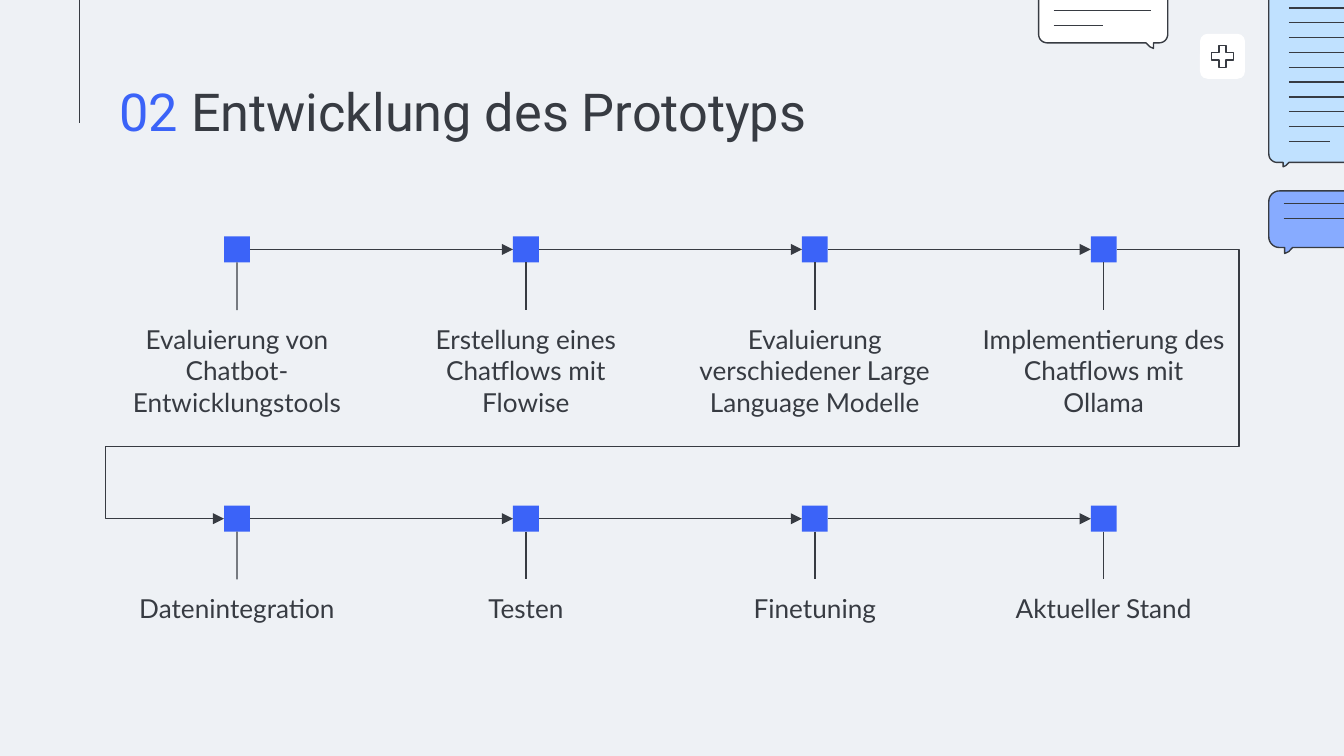
from itertools import pairwise
from math import cos, pi, sin

from lxml.etree import SubElement
from pptx import Presentation
from pptx.dml.color import RGBColor
from pptx.enum.shapes import MSO_CONNECTOR, MSO_SHAPE
from pptx.enum.text import MSO_ANCHOR, PP_ALIGN
from pptx.oxml.ns import qn
from pptx.util import Cm, Pt

PAPER = RGBColor(0xEE, 0xF1, 0xF5)
INK = RGBColor(0x37, 0x3B, 0x42)
ACCENT = RGBColor(0x3B, 0x63, 0xF8)
WHITE = RGBColor(0xFF, 0xFF, 0xFF)
SKY = RGBColor(0xC0, 0xE1, 0xFF)
PERIWINKLE = RGBColor(0x87, 0xAB, 0xFF)

MARKER = 0.49
LABEL_W = 5.08
LABEL_H = 2.24
STEPS = [
    ["Evaluierung von Chatbot-Entwicklungstools",
     "Erstellung eines Chatflows mit Flowise",
     "Evaluierung verschiedener Large Language Modelle",
     "Implementierung des Chatflows mit Ollama"],
    ["Datenintegration", "Testen", "Finetuning", "Aktueller Stand"],
]


def style_shape(sp, fill, line=None):
    sp.shadow.inherit = False
    sp.fill.solid()
    sp.fill.fore_color.rgb = fill
    if line is None:
        sp.line.fill.background()
    else:
        sp.line.color.rgb = line
        sp.line.width = Pt(0.75)


def add_line(s, x1, y1, x2, y2, arrow=False, kind=MSO_CONNECTOR.STRAIGHT):
    line = s.shapes.add_connector(kind, Cm(x1), Cm(y1), Cm(x2), Cm(y2))
    line.line.color.rgb = INK
    line.line.width = Pt(0.75)
    if arrow:
        SubElement(line.line._get_or_add_ln(), qn("a:tailEnd"), type="triangle")
    SubElement(line._element.spPr, qn("a:effectLst"))
    return line


def join(s, start, start_side, end, end_side, **options):
    line = add_line(s, 0, 0, 0, 0, **options)
    line.begin_connect(start, start_side)
    line.end_connect(end, end_side)
    return line


def add_text(s, x, y, w, h, parts, font, size, align):
    sp = s.shapes.add_textbox(Cm(x), Cm(y), Cm(w), Cm(h))
    tf = sp.text_frame
    tf.word_wrap = True
    tf.vertical_anchor = MSO_ANCHOR.TOP
    tf.margin_left = tf.margin_right = tf.margin_top = tf.margin_bottom = Cm(0.25)
    p = tf.paragraphs[0]
    p.alignment = align
    for text, color in parts:
        r = p.add_run()
        r.text = text
        r.font.name = font
        r.font.size = Pt(size)
        r.font.color.rgb = color
    return sp


def add_bubble(s, x, y, w, h, radius, root, tip, fill):
    def corner(cx, cy, start):
        angles = [start + i * pi / 16 for i in range(9)]
        return [(cx + radius * cos(a), cy + radius * sin(a)) for a in angles]

    left, right = x + radius, x + w - radius
    top, bottom = y + radius, y + h - radius
    drop = 0.75 * abs(root - tip)
    tail = [(root, y + h), ((root + tip) / 2, y + h + 0.7 * drop),
            (tip, y + h + drop), (tip, y + h)]
    if root < tip:
        tail.reverse()
    points = (corner(left, top, pi) + corner(right, top, 1.5 * pi)
              + corner(right, bottom, 0) + tail + corner(left, bottom, pi / 2))
    points = [(Cm(px), Cm(py)) for px, py in points]
    builder = s.shapes.build_freeform(*points[0])
    builder.add_line_segments(points[1:], close=True)
    style_shape(builder.convert_to_shape(), fill, INK)


def add_writing(s, x, y, w, count, last_w):
    for i in range(count):
        line_y = y + 0.28 * i
        add_line(s, x, line_y, x + (last_w if i == count - 1 else w), line_y)


def add_plus_badge(s, x, y, size):
    badge = s.shapes.add_shape(MSO_SHAPE.ROUNDED_RECTANGLE,
                               Cm(x), Cm(y), Cm(size), Cm(size))
    style_shape(badge, WHITE)
    inset = size / 6
    plus = s.shapes.add_shape(MSO_SHAPE.MATH_PLUS, Cm(x + inset), Cm(y + inset),
                              Cm(size - 2 * inset), Cm(size - 2 * inset))
    plus.adjustments[0] = 0.235
    style_shape(plus, WHITE, INK)


def add_decoration(s):
    add_line(s, 1.5, -0.6, 1.5, 2.33)
    add_plus_badge(s, 22.68, 0.64, 0.85)
    add_bubble(s, 19.63, -0.41, 2.44, 1.22, 0.16, 21.66, 21.8, WHITE)
    add_writing(s, 19.91, 0.2, 1.85, 2, 0.94)
    add_bubble(s, 23.98, -0.84, 2.44, 3.91, 0.16, 24.36, 24.25, SKY)
    add_writing(s, 24.36, 0.15, 1.7, 10, 0.77)
    add_bubble(s, 23.98, 3.61, 3.05, 1.07, 0.2, 24.43, 24.28, PERIWINKLE)
    add_writing(s, 24.26, 3.85, 2.44, 2, 2.44)


def add_step_row(s, x, y, w, h, labels):
    pitch = (w - LABEL_W) / (len(labels) - 1)
    markers = []
    for i, label in enumerate(labels):
        label_x = x + i * pitch
        marker = s.shapes.add_shape(
            MSO_SHAPE.RECTANGLE, Cm(label_x + (LABEL_W - MARKER) / 2), Cm(y),
            Cm(MARKER), Cm(MARKER))
        style_shape(marker, ACCENT)
        text = add_text(s, label_x, y + h - LABEL_H, LABEL_W, LABEL_H,
                        [(label, INK)], "Lato", 14, PP_ALIGN.CENTER)
        join(s, marker, 2, text, 0)
        markers.append(marker)
    for start, end in pairwise(markers):
        join(s, start, 3, end, 1, arrow=True)
    return markers


def add_process(s, x, y, w, h):
    row_h = 3.63
    pitch = h - row_h
    first, second = [add_step_row(s, x, y + i * pitch, w, row_h, labels)
                     for i, labels in enumerate(STEPS)]
    bend = join(s, first[-1], 3, second[0], 1, arrow=True, kind=MSO_CONNECTOR.ELBOW)
    geometry = bend._element.spPr.find(qn("a:prstGeom"))
    geometry.set("prst", "bentConnector5")
    guides = geometry.find(qn("a:avLst"))
    for i, value in enumerate((-13700, 73300, 113300), 1):
        SubElement(guides, qn("a:gd"), name=f"adj{i}", fmla=f"val {value}")


def main():
    prs = Presentation()
    prs.slide_width, prs.slide_height = Cm(25.4), Cm(14.29)
    s = prs.slides.add_slide(prs.slide_layouts[6])
    s.background.fill.solid()
    s.background.fill.fore_color.rgb = PAPER
    add_decoration(s)
    add_text(s, 2.01, 1.25, 21.41, 1.6,
             [("02 ", ACCENT), ("Entwicklung des Prototyps", INK)],
             "Roboto", 28, PP_ALIGN.LEFT)
    add_process(s, 1.94, 4.47, 21.46, 8.72)
    prs.save("out.pptx")


if __name__ == "__main__":
    main()
